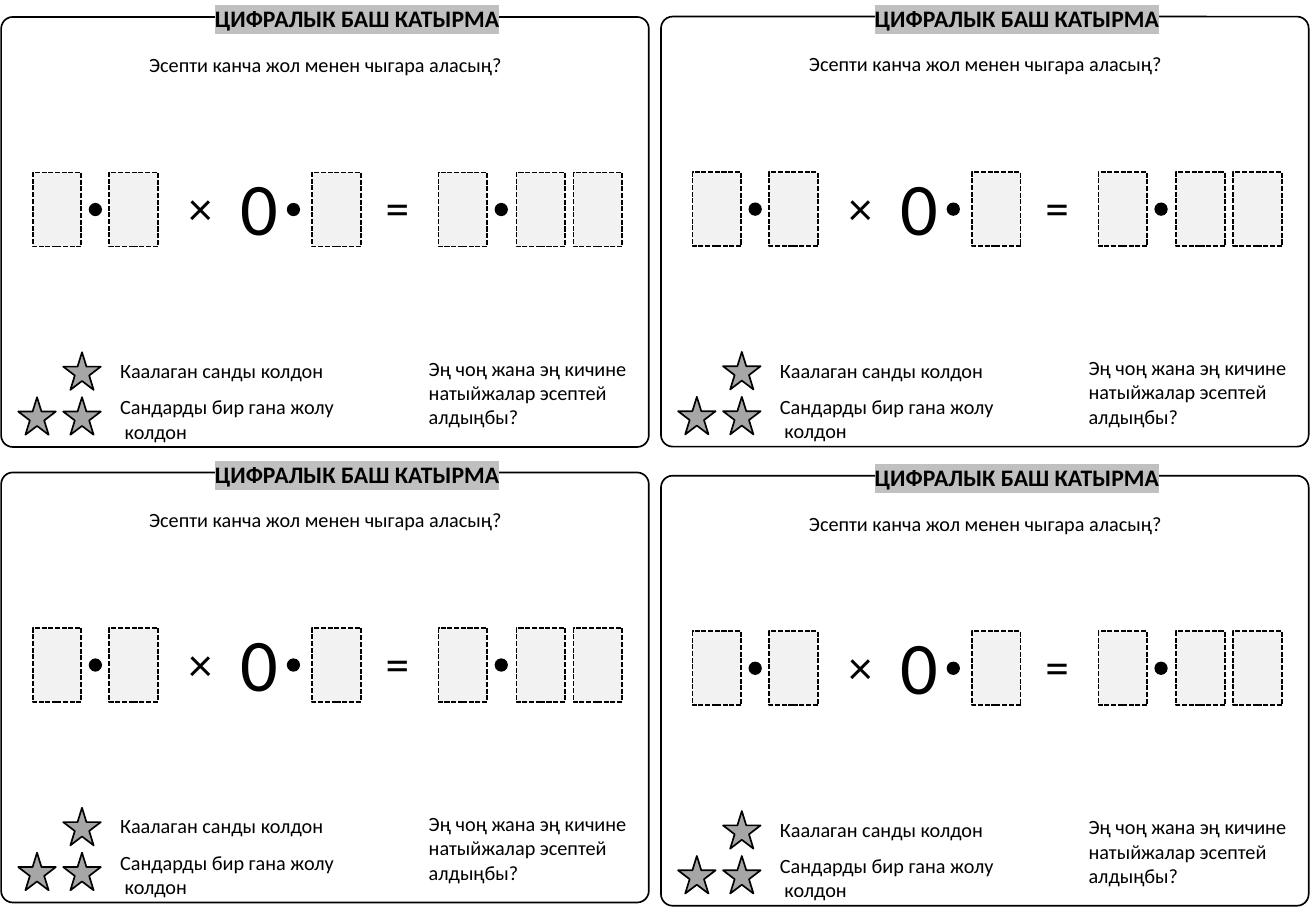
from dataclasses import dataclass

from lxml.etree import SubElement
from pptx import Presentation
from pptx.dml.color import RGBColor
from pptx.enum.dml import MSO_LINE
from pptx.enum.shapes import MSO_SHAPE
from pptx.enum.text import MSO_AUTO_SIZE, PP_ALIGN
from pptx.oxml.ns import qn
from pptx.shapes.shapetree import GroupShapes
from pptx.util import Inches, Pt

BLACK = RGBColor(0x00, 0x00, 0x00)
STAR_GREY = RGBColor(0xA6, 0xA6, 0xA6)
BOX_GREY = RGBColor(0xF2, 0xF2, 0xF2)
TITLE_GREY = RGBColor(0xC0, 0xC0, 0xC0)

COLS, ROWS = 1083, 750
SLIDE_W, SLIDE_H = Inches(10.83), Inches(7.5)
COL, ROW = SLIDE_W / COLS, SLIDE_H / ROWS
DIGIT_ROW, DOT_ROW = 142, 167


@dataclass(frozen=True)
class Origin:
    col: float
    row: float


@dataclass(frozen=True)
class Figure:
    kind: MSO_SHAPE
    col: float
    row: float
    cols: float
    rows: float
    fill: RGBColor | None = None
    outlined: bool = True
    dashed: bool = False


@dataclass(frozen=True)
class Label:
    text: str
    col: float
    row: float
    cols: float
    rows: float
    size: float = 12
    centred: bool = False
    title: bool = False


def digit(col: float) -> Figure:
    return Figure(MSO_SHAPE.RECTANGLE, col, DIGIT_ROW, 40, 61, BOX_GREY, dashed=True)


def dot(col: float) -> Figure:
    return Figure(MSO_SHAPE.OVAL, col, DOT_ROW, 11, 11, BLACK, outlined=False)


def star(col: float, row: float) -> Figure:
    return Figure(MSO_SHAPE.STAR_5_POINT, col, row, 31, 31, STAR_GREY)


FRAME = Figure(MSO_SHAPE.ROUNDED_RECTANGLE, 1, 14, 533, 354)
CARD = [
    FRAME,
    Label("ЦИФРАЛЫК БАШ КАТЫРМА", 167, 3.5, 256, 24, 14, title=True),
    Label("Эсепти канча жол менен чыгара аласың?", 111, 38, 314, 30, centred=True),
    star(52, 290),
    Label("Каалаган санды колдон", 89, 290, 189, 30),
    star(52, 327),
    star(15, 327),
    Label("Сандарды бир гана жолу\n колдон", 89, 320, 198, 50),
    Label("Эң чоң жана эң кичине\nнатыйжалар эсептей\nалдыңбы?", 343, 288, 189, 91),
    Label("×", 145, DIGIT_ROW, 40, 57, 28, centred=True),
    Label("=", 307, DIGIT_ROW, 40, 57, 28, centred=True),
    digit(472),
]
NUMBERS = [
    [digit(27), dot(73), digit(90)],
    [Label("0", 188, 128, 51, 84, 44), dot(236), digit(257)],
    [digit(361), dot(407), digit(425)],
]
CARD_ORIGINS = [Origin(0, 0), Origin(543, -0.3), Origin(0, 375), Origin(543, 377.7)]


def place(item: Figure | Label, origin: Origin) -> tuple[int, int, int, int]:
    return (round((origin.col + item.col) * COL), round((origin.row + item.row) * ROW),
            round(item.cols * COL), round(item.rows * ROW))


def draw_figure(shapes: GroupShapes, fig: Figure, origin: Origin) -> None:
    sp = shapes.add_shape(fig.kind, *place(fig, origin))
    sp.shadow.inherit = False
    if fig.kind == MSO_SHAPE.ROUNDED_RECTANGLE:
        sp.adjustments[0] = 0.027
    if fig.fill is None:
        sp.fill.background()
    else:
        sp.fill.solid()
        sp.fill.fore_color.rgb = fig.fill
    if not fig.outlined:
        sp.line.fill.background()
        return
    sp.line.color.rgb = BLACK
    sp.line.width = Pt(1)
    if fig.dashed:
        sp.line.dash_style = MSO_LINE.SQUARE_DOT


def draw_label(shapes: GroupShapes, label: Label, origin: Origin) -> None:
    tf = shapes.add_textbox(*place(label, origin)).text_frame
    tf.word_wrap = False
    tf.auto_size = MSO_AUTO_SIZE.SHAPE_TO_FIT_TEXT
    if label.title:
        tf.margin_top = tf.margin_bottom = 0
    tf.text = label.text
    for p in tf.paragraphs:
        p.alignment = PP_ALIGN.CENTER if label.centred else PP_ALIGN.LEFT
        for r in p.runs:
            r.font.size = Pt(label.size)
            r.font.name = "Calibri"
            r.font.color.rgb = BLACK
            if label.title:
                r.font.bold = True
                rPr = r.font._element
                highlight = SubElement(rPr, qn("a:highlight"))
                SubElement(highlight, qn("a:srgbClr"), val=str(TITLE_GREY))
                rPr.find(qn("a:solidFill")).addnext(highlight)


def draw_items(shapes: GroupShapes, items: list[Figure | Label], origin: Origin) -> None:
    for item in items:
        if isinstance(item, Figure):
            draw_figure(shapes, item, origin)
        else:
            draw_label(shapes, item, origin)


def main() -> None:
    prs = Presentation()
    prs.slide_width, prs.slide_height = SLIDE_W, SLIDE_H
    s = prs.slides.add_slide(prs.slide_layouts[6])
    for origin in CARD_ORIGINS:
        draw_items(s.shapes, CARD, origin)
        for number in NUMBERS:
            draw_items(s.shapes.add_group_shape().shapes, number, origin)
    prs.save("out.pptx")


if __name__ == "__main__":
    main()
